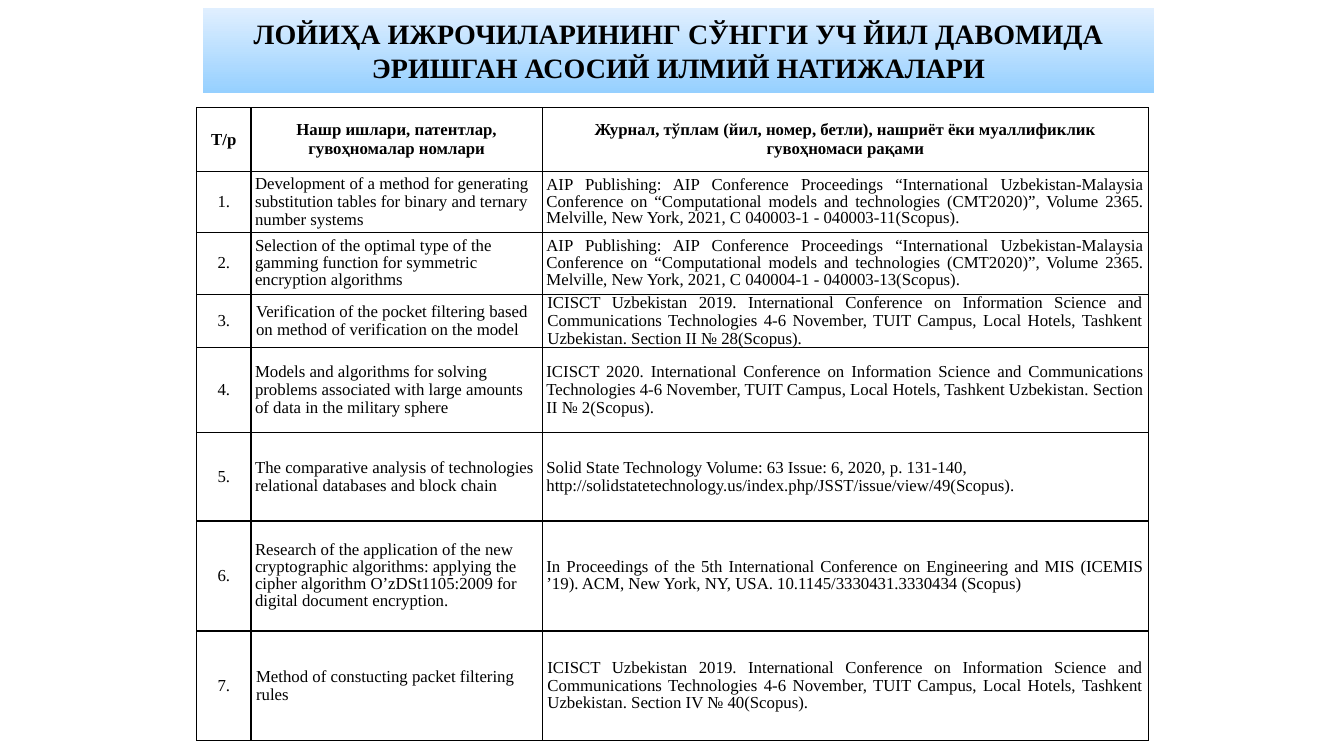
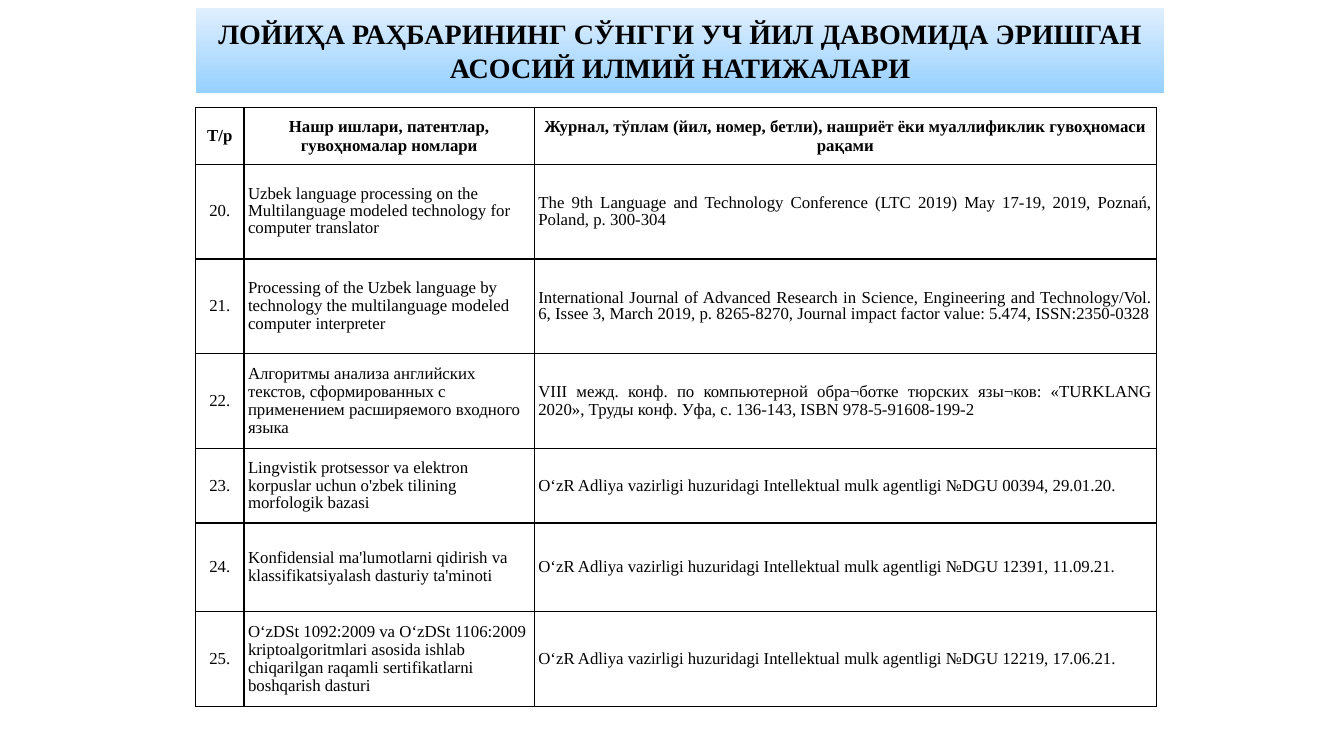
from dataclasses import dataclass

from lxml import etree
from pptx import Presentation
from pptx import util as u
from pptx.dml import color as co
from pptx.enum import text as tx
from pptx.oxml import ns

PX = 9144  # one hundred px to the inch


@dataclass(frozen=True)
class Theme:
    font: str = "Times New Roman"
    ink: str = "000000"
    deep: str = "96D0FF"
    pale: str = "E0EFFF"
    head: int = 20
    body: int = 12
    rule: int = 1


@dataclass(frozen=True)
class Row:
    high: int
    name: str
    source: str
    lead: float = 0.95  # line spacing of the name
    tail: float = 0.95  # line spacing of the source
    pad: int = 4


T = Theme()
A = tx.PP_ALIGN
HEADS = (
    "Т/р",
    "Нашр ишлари, патентлар, гувоҳномалар номлари",
    "Журнал, тўплам (йил, номер, бетли), нашриёт ёки муаллификлик гувоҳномаси рақами",
)
AIP = (
    "AIP Publishing: AIP Conference Proceedings “International Uzbekistan-Malaysia "
    "Conference on “Computational models and technologies (CMT2020)”, Volume 2365. "
    "Melville, New York, 2021, С {}(Scopus)."
)
ICISCT = (
    "ICISCT {}. International Conference on Information Science and Communications "
    "Technologies 4-6 November, TUIT Campus, Local Hotels, Tashkent Uzbekistan. "
    "Section {}(Scopus)."
)
AGENCY = "O‘zR Adliya vazirligi huzuridagi Intellektual mulk agentligi №DGU {}."

TEAM = (
    Row(61, "Development of a method for generating substitution tables for binary "
            "and ternary number systems",
        AIP.format("040003-1 - 040003-11"), tail=0.9),
    Row(61, "Selection of the optimal type of the gamming function for symmetric "
            "encryption algorithms",
        AIP.format("040004-1 - 040003-13"), 0.9, 0.9),
    Row(53, "Verification of the pocket filtering based on method of verification "
            "on the model",
        ICISCT.format("Uzbekistan 2019", "II № 28"), pad=5),
    Row(84, "Models and algorithms for solving problems associated with large amounts "
            "of data in the military sphere",
        ICISCT.format("2020", "II № 2")),
    Row(88, "Тhe comparative analysis of technologies relational databases and block chain",
        "Solid State Technology Volume: 63 Issue: 6, 2020, р. 131-140, "
        "http://solidstatetechnology.us/index.php/JSST/issue/view/49(Scopus).", 1, 1),
    Row(109, "Research of the application of the new cryptographic algorithms: applying "
             "the cipher algorithm O’zDSt1105:2009 for digital document encryption.",
        "In Proceedings of the 5th International Conference on Engineering and MIS "
        "(ICEMIS ’19). ACM, New York, NY, USA. 10.1145/3330431.3330434 (Scopus)", 0.9, 0.9),
    Row(109, "Method of constucting packet filtering rules",
        ICISCT.format("Uzbekistan 2019", "IV № 40"), pad=5),
)
LEADER = (
    Row(94, "Uzbek language processing on the Multilanguage modeled technology for "
            "computer translator",
        "The 9th Language and Technology Conference (LTC 2019) May 17-19, 2019, "
        "Poznań, Poland, p. 300-304", 0.9, 0.9),
    Row(94, "Processing of the Uzbek language by technology the multilanguage modeled "
            "computer interpreter",
        "International Journal of Advanced Research in Science, Еngineering and "
        "Technology/Vol. 6, Issee 3, March 2019, p. 8265-8270, Journal impact factor "
        "value: 5.474, ISSN:2350-0328", tail=0.9),
    Row(94, "Алгоритмы анализа английских текстов, сформированных с применением "
            "расширяемого входного языка",
        "VIII межд. конф. по компьютерной обра¬ботке тюрских язы¬ков: «TURKLANG 2020», "
        "Труды конф. Уфа, с. 136-143, ISBN 978-5-91608-199-2"),
    Row(74, "Lingvistik protsessor va elektron korpuslar uchun o'zbek tilining "
            "morfologik bazasi",
        AGENCY.format("00394, 29.01.20")),
    Row(88, "Konfidensial ma'lumotlarni qidirish va klassifikatsiyalash dasturiy ta'minoti",
        AGENCY.format("12391, 11.09.21")),
    Row(94, "O‘zDSt 1092:2009 va O‘zDSt 1106:2009 kriptoalgoritmlari asosida ishlab "
            "chiqarilgan raqamli sertifikatlarni boshqarish dasturi",
        AGENCY.format("12219, 17.06.21")),
)


def px(n):
    return u.Emu(n * PX)


def rgb(tint):
    return co.RGBColor.from_string(tint)


def write(frame, words, size, bold, align, lead=1.0):
    """Put one run of text in the first paragraph."""
    para = frame.paragraphs[0]
    para.alignment = align
    para.line_spacing = float(lead)
    run = para.add_run()
    run.text = words
    font = run.font
    font.name, font.size, font.bold = T.font, u.Pt(size), bold
    font.color.rgb = rgb(T.ink)


def title(slide, words, left, wide):
    """Shape the title placeholder as a gradient band."""
    band = slide.shapes.title
    band.left, band.top, band.width, band.height = map(px, (left, 8, wide, 84))
    band.fill.gradient()
    band.fill.gradient_angle = 90
    for stop, tint in zip(band.fill.gradient_stops, (T.deep, T.pale)):
        stop.color.rgb = rgb(tint)
    frame = band.text_frame
    frame.word_wrap = True
    frame.auto_size = tx.MSO_AUTO_SIZE.NONE
    frame.vertical_anchor = tx.MSO_ANCHOR.MIDDLE
    write(frame, words, T.head, True, A.CENTER)


def border(cell):
    """Rule all four sides of a cell."""
    props = cell._tc.get_or_add_tcPr()
    for side in ("a:lnL", "a:lnR", "a:lnT", "a:lnB"):
        line = etree.SubElement(props, ns.qn(side), w=str(u.Pt(T.rule)))
        fill = etree.SubElement(line, ns.qn("a:solidFill"))
        etree.SubElement(fill, ns.qn("a:srgbClr"), val=T.ink)


def put(cell, words, pad, align, lead=1.0, bold=False):
    """Format and fill one table cell."""
    border(cell)
    cell.fill.background()
    cell.margin_left = cell.margin_right = px(pad)
    cell.margin_top = cell.margin_bottom = 0
    cell.vertical_anchor = tx.MSO_ANCHOR.MIDDLE
    write(cell.text_frame, words, T.body, bold, align, lead)


def table(slide, rows, first, left, cols, top_row, pad):
    """Draw the numbered list of works."""
    highs = [top_row] + [row.high for row in rows]
    box = (left, 107, sum(cols), sum(highs))
    grid = slide.shapes.add_table(len(highs), len(cols), *map(px, box)).table
    grid.first_row = grid.horz_banding = False
    for col, wide in zip(grid.columns, cols):
        col.width = px(wide)
    for line, high in zip(grid.rows, highs):
        line.height = px(high)

    for i, words in enumerate(HEADS):
        put(grid.cell(0, i), words, pad, A.CENTER, bold=True)
    for i, row in enumerate(rows, 1):
        side = A.LEFT if row.tail == 1 else A.JUSTIFY
        put(grid.cell(i, 0), f"{first + i - 1}.", pad, A.CENTER, 0.95)
        put(grid.cell(i, 1), row.name, row.pad, A.LEFT, row.lead)
        put(grid.cell(i, 2), row.source, row.pad, side, row.tail)


def main():
    deck = Presentation()
    deck.slide_width, deck.slide_height = px(1333), px(750)
    plain = deck.slide_layouts[5]

    # Works of the project team
    slide = deck.slides.add_slide(plain)
    title(slide, "ЛОЙИҲА ИЖРОЧИЛАРИНИНГ СЎНГГИ УЧ ЙИЛ ДАВОМИДА ЭРИШГАН АСОСИЙ ИЛМИЙ "
                 "НАТИЖАЛАРИ", 201, 944)
    table(slide, TEAM, 1, 195, (54, 289, 601), 63, 5)

    # Works of the project leader
    slide = deck.slides.add_slide(plain)
    title(slide, "ЛОЙИҲА РАҲБАРИНИНГ СЎНГГИ УЧ ЙИЛ ДАВОМИДА ЭРИШГАН АСОСИЙ ИЛМИЙ "
                 "НАТИЖАЛАРИ", 194, 961)
    table(slide, LEADER, 20, 194, (48, 288, 617), 56, 4)

    deck.save("out.pptx")


if __name__ == "__main__":
    main()
